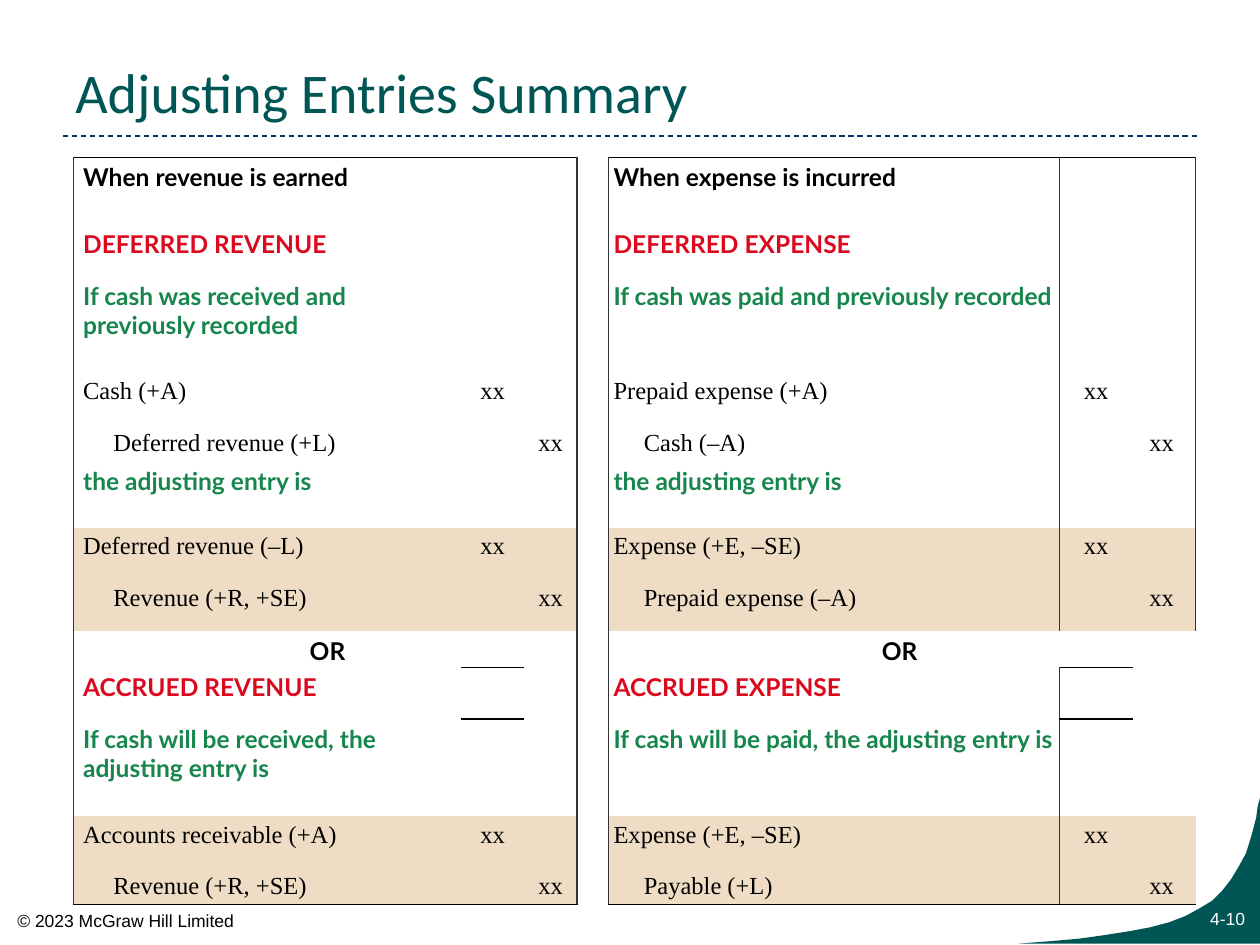
from lxml import etree
from pptx import Presentation
from pptx.dml.color import RGBColor
from pptx.enum.dml import MSO_LINE
from pptx.enum.shapes import MSO_CONNECTOR
from pptx.enum.text import MSO_ANCHOR, PP_ALIGN
from pptx.oxml.ns import qn
from pptx.util import Inches, Pt

LEFT, CENTER, RIGHT = PP_ALIGN.LEFT, PP_ALIGN.CENTER, PP_ALIGN.RIGHT
TOP, BOTTOM = MSO_ANCHOR.TOP, MSO_ANCHOR.BOTTOM
DASH, STRAIGHT = MSO_LINE.DASH, MSO_CONNECTOR.STRAIGHT
PLAIN_STYLE = "{2D5ABB26-0587-4C30-8999-92F81FD0307C}"

COLORS = {"teal": "005655", "navy": "003366", "red": "DC081D", "green": "17864D",
          "black": "000000", "white": "FFFFFF", "tan": "EEDCC5", "edge": "333333"}

# Content: (kind, row height, revenue text, expense text)
ROWS = [
    ("head", 0.53, "When revenue is earned", "When expense is incurred"),
    ("type", 0.41, "DEFERRED REVENUE", "DEFERRED EXPENSE"),
    ("when", 0.77, "If cash was received and previously recorded",
     "If cash was paid and previously recorded"),
    ("debit", 0.41, "Cash (+A)", "Prepaid expense (+A)"),
    ("credit", 0.29, "Deferred revenue (+L)", "Cash (–A)"),
    ("when", 0.53, "the adjusting entry is", "the adjusting entry is"),
    ("debit", 0.41, "Deferred revenue (–L)", "Expense (+E, –SE)"),
    ("credit", 0.41, "Revenue (+R, +SE)", "Prepaid expense (–A)"),
    ("or", 0.29, "OR", "OR"),
    ("type", 0.41, "ACCRUED REVENUE", "ACCRUED EXPENSE"),
    ("when", 0.77, "If cash will be received, the adjusting entry is",
     "If cash will be paid, the adjusting entry is"),
    ("debit", 0.41, "Accounts receivable (+A)", "Expense (+E, –SE)"),
    ("credit", 0.29, "Revenue (+R, +SE)", "Payable (+L)"),
]
COL_WIDTHS = [3.08, 0.5, 0.42, 0.25, 3.58, 0.58, 0.5]
STARTS = (0, 4)          # first column of each ledger
GAP_COL = 3
SHADED = {6, 7, 11, 12}  # adjusting entries
OR_ROW = 8
LAST_ROW = len(ROWS) - 1
KINDS = {  # kind: (font, colour, bold)
    "head": ("Lato", "black", True),
    "type": ("Lato", "red", True),
    "when": ("Lato", "green", True),
    "or": ("Lato", "black", True),
    "debit": ("Times New Roman", "black", False),
    "credit": ("Times New Roman", "black", False),
}
CORNER = [
    (10, 6.33), (10, 7.49), (8.08, 7.49), (8.34, 7.47), (8.57, 7.45), (8.78, 7.42),
    (8.97, 7.39), (9.13, 7.36), (9.28, 7.32), (9.41, 7.27), (9.52, 7.21), (9.62, 7.15),
    (9.7, 7.07), (9.77, 6.98), (9.83, 6.88), (9.89, 6.77), (9.93, 6.64), (9.97, 6.49),
    (9.98, 6.41),
]


def rgb(name):
    return RGBColor.from_string(COLORS[name])


def add_run(p, text, font, size, color, bold=False):
    r = p.add_run()
    r.text = text
    r.font.name, r.font.size, r.font.bold = font, Pt(size), bold
    r.font.color.rgb = rgb(color)


def add_text(slide, box, text, font, size, color, align=LEFT, anchor=TOP, wrap=True):
    tf = slide.shapes.add_textbox(*map(Inches, box)).text_frame
    tf.word_wrap, tf.vertical_anchor = wrap, anchor
    p = tf.paragraphs[0]
    p.alignment = align
    add_run(p, text, font, size, color)


def set_borders(cell, sides):
    """sides maps L, R, T, B to (colour, points)."""
    tc_pr = cell._tc.get_or_add_tcPr()
    at = 0
    for side in "LRTB":  # schema order, ahead of the fill
        if side in sides:
            color, width = sides[side]
            ln = etree.Element(qn("a:ln" + side), w=str(Pt(width)))
            fill = etree.SubElement(ln, qn("a:solidFill"))
            etree.SubElement(fill, qn("a:srgbClr"), val=COLORS[color])
            tc_pr.insert(at, ln)
            at += 1


def borders_for(row, col):
    sides = {}
    open_right = col == 6 and row > OR_ROW
    if col in (0, GAP_COL, 4):
        sides["L"] = ("edge", 0.75)
    if col in (2, GAP_COL, 6) and not open_right:
        sides["R"] = ("edge", 0.75)
    if col != GAP_COL:
        if row == 0:
            sides["T"] = ("black", 0.75)
        if row == LAST_ROW:
            sides["B"] = ("black", 0.75)
    if col in (1, 5):  # short rule under OR
        if row == OR_ROW:
            sides["B"] = ("black", 1)
        if row == OR_ROW + 1:
            sides["T"] = ("black", 1)
    return sides


def cell_text(kind, texts, col):
    if col in STARTS:
        return texts[STARTS.index(col)]
    amount_col = {"debit": (1, 5), "credit": (2, 6)}.get(kind, ())
    return "xx" if col in amount_col else ""


def fill_cell(cell, row, col):
    kind, _, *texts = ROWS[row]
    cell.margin_left = Inches(0.08 if col == 0 else 0.04)
    cell.margin_right = Inches(0.08 if col == 6 or (kind == "or" and col == 4) else 0.04)
    cell.margin_top, cell.margin_bottom = Inches(0.04), Inches(0.01)
    cell.fill.solid()
    cell.fill.fore_color.rgb = rgb("tan" if row in SHADED and col != GAP_COL else "white")
    set_borders(cell, borders_for(row, col))
    p = cell.text_frame.paragraphs[0]
    text = cell_text(kind, texts, col)
    if not text:  # keeps empty cells from stretching the row
        etree.SubElement(p._p, qn("a:endParaRPr"), sz="1400")
        return
    font, color, bold = KINDS[kind]
    p.alignment = CENTER if kind == "or" or text == "xx" else LEFT
    if kind == "credit" and col in STARTS:
        p._p.get_or_add_pPr().set("marL", str(Inches(0.24)))
    add_run(p, text, font, 14, color, bold)


def add_ledgers(slide):
    frame = slide.shapes.add_table(len(ROWS), len(COL_WIDTHS), Inches(0.58), Inches(1.25),
                                   Inches(sum(COL_WIDTHS)), Inches(sum(r[1] for r in ROWS)))
    table = frame.table
    table.first_row = table.horz_banding = False
    table._tbl.tblPr.find(qn("a:tableStyleId")).text = PLAIN_STYLE
    for column, width in zip(table.columns, COL_WIDTHS):
        column.width = Inches(width)
    for i, row in enumerate(ROWS):
        table.rows[i].height = Inches(row[1])
        for j in range(len(COL_WIDTHS)):
            fill_cell(table.cell(i, j), i, j)
    for start in STARTS:
        table.cell(OR_ROW, start).merge(table.cell(OR_ROW, start + 2))


def main():
    prs = Presentation()
    prs.slide_width, prs.slide_height = Inches(10), Inches(7.5)
    slide = prs.slides.add_slide(prs.slide_layouts[6])

    # Dashed rule under the title
    rule = slide.shapes.add_connector(STRAIGHT, Inches(0.5), Inches(1.08),
                                      Inches(9.5), Inches(1.08))
    rule.line.color.rgb = rgb("navy")
    rule.line.width, rule.line.dash_style = Pt(0.75), DASH
    etree.SubElement(rule._element.spPr, qn("a:effectLst"))

    # Curved corner
    points = [(Inches(x), Inches(y)) for x, y in CORNER]
    builder = slide.shapes.build_freeform(*points[0])
    builder.add_line_segments(points[1:], close=True)
    corner = builder.convert_to_shape()
    corner.shadow.inherit = False
    corner.fill.solid()
    corner.fill.fore_color.rgb = rgb("teal")
    corner.line.fill.background()

    # Footer, title and table
    add_text(slide, (9, 7.16, 0.98, 0.27), "4-10", "Arial", 10, "white", align=RIGHT)
    add_text(slide, (0.04, 7.17, 1.94, 0.27), "© 2023 McGraw Hill Limited",
             "Arial", 10, "black", wrap=False)
    add_text(slide, (0.5, 0.17, 9, 0.87), "Adjusting Entries Summary",
             "Calibri", 32, "teal", anchor=BOTTOM)
    add_ledgers(slide)
    prs.save("out.pptx")


if __name__ == "__main__":
    main()
